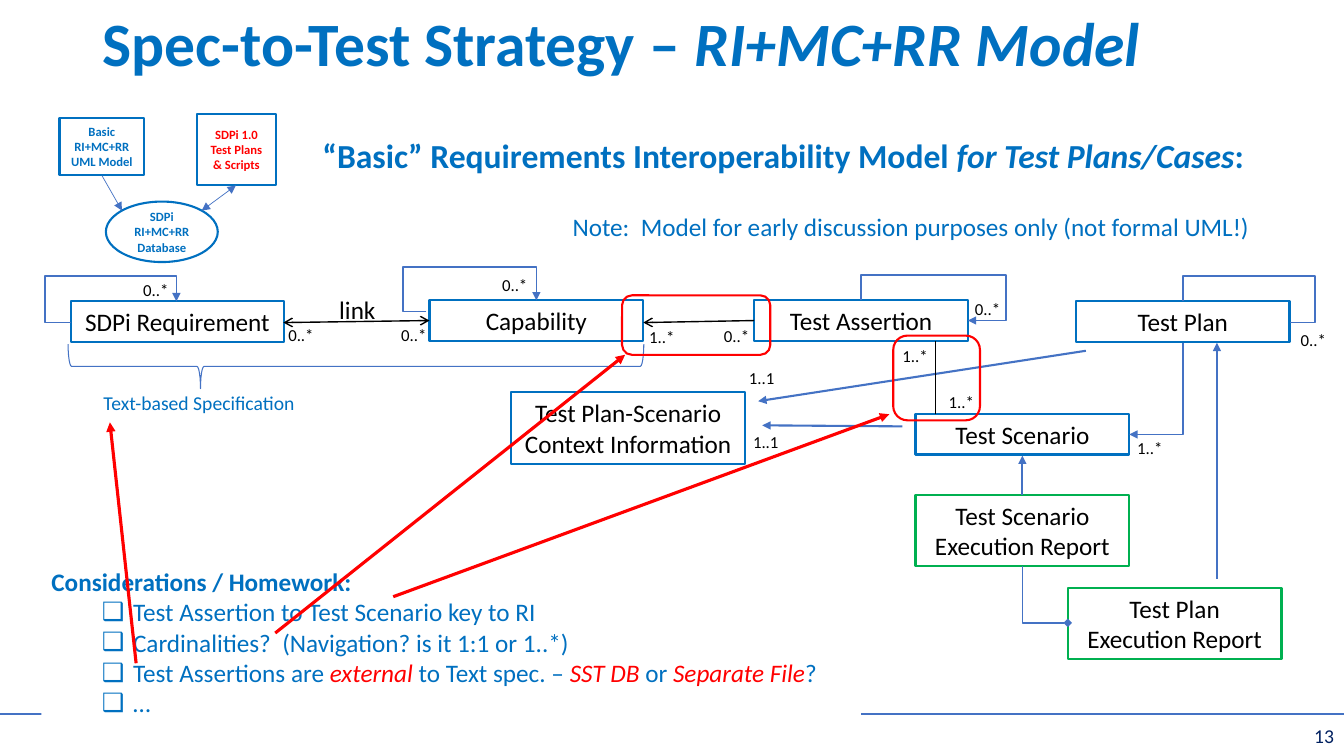
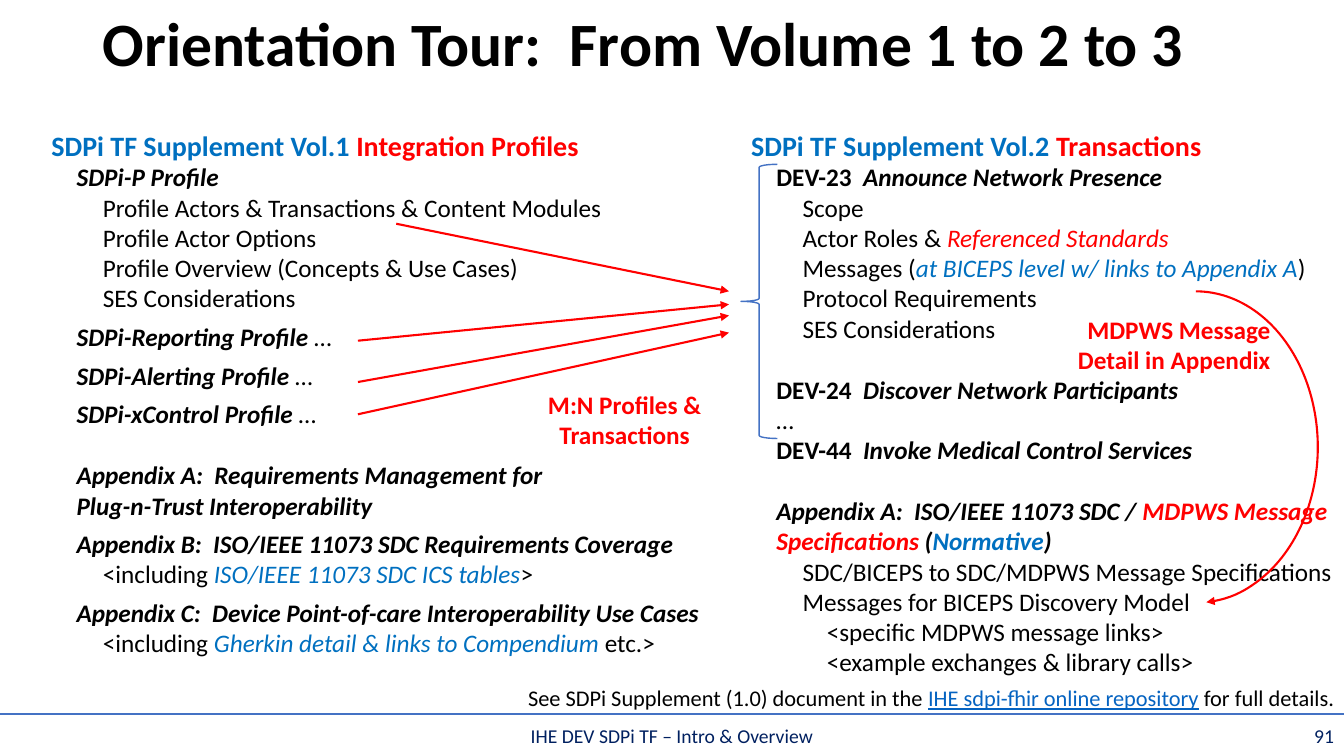
from dataclasses import dataclass

from lxml.etree import SubElement as sub
from pptx import Presentation
from pptx.dml.color import RGBColor
from pptx.enum.shapes import MSO_CONNECTOR as Wire, MSO_SHAPE as Form
from pptx.enum.text import MSO_ANCHOR as Anchor, MSO_AUTO_SIZE as Auto, PP_ALIGN as Align
from pptx.oxml.ns import qn
from pptx.util import Inches, Pt

FONT = "Calibri"
COLORS = {
    "black": "000000",
    "white": "FFFFFF",
    "blue": "0070C0",
    "steel": "4472C4",
    "navy": "002060",
    "red": "FF0000",
    "green": "00B050",
    "link": "0563C1",
}
BOLD = {"bold": True}
ITAL = {"ital": True}
BOTH = BOLD | ITAL
RED = {"color": "red"}
BLUE = {"color": "blue"}


@dataclass
class Row:
    runs: list
    ind: float = 0
    gap: float = 0
    mark: str = ""


def tint(name):
    return RGBColor.from_string(COLORS[name])


def put(para, text, size=18, color="black", bold=False, ital=False, under=False):
    for num, part in enumerate(text.split("\n")):
        if num:
            para.add_line_break()
            sub(para._p[-1], qn("a:rPr"), sz=str(size * 100))
        run = para.add_run()
        run.text = part
        font = run.font
        font.name, font.size = FONT, Pt(size)
        font.bold, font.italic, font.underline = bold, ital, under
        font.color.rgb = tint(color)


def say(shape, rows, align=Align.LEFT, anchor=Anchor.TOP, space=1.0, **base):
    frame = shape.text_frame
    frame.word_wrap = True
    frame.auto_size = Auto.NONE
    frame.vertical_anchor = anchor
    frame.margin_left = frame.margin_right = Inches(0.1)
    frame.margin_top = frame.margin_bottom = Inches(0.05)
    if isinstance(rows, str):
        rows = [Row([rows])]
    for num, row in enumerate(rows):
        para = frame.add_paragraph() if num else frame.paragraphs[0]
        prop = para._p.get_or_add_pPr()
        prop.set("marL", str(Inches(row.ind)))
        prop.set("indent", str(Inches(-0.31 if row.mark else 0)))
        if row.mark:
            sub(prop, qn("a:buChar"), char=row.mark)
        else:
            sub(prop, qn("a:buNone"))
        para.alignment = align
        para.line_spacing = space
        para.space_before = Pt(row.gap)
        para.space_after = Pt(0)
        for run in row.runs:
            text, form = (run, {}) if isinstance(run, str) else run
            put(para, text, **(base | form))


def place(shape, *at):
    shape.left, shape.top, shape.width, shape.height = map(Inches, at)
    return shape


def note(slide, at, rows, **form):
    say(slide.shapes.add_textbox(*map(Inches, at)), rows, **form)


def box(slide, form, at, edge="blue", width=1.5, adj=(), turn=0):
    shape = slide.shapes.add_shape(form, *map(Inches, at))
    shape.shadow.inherit = False
    shape.fill.background()
    shape.line.color.rgb = tint(edge)
    shape.line.width = Pt(width)
    shape.rotation = turn
    for num, value in enumerate(adj):
        shape.adjustments[num] = value
    return shape


def tip(shape, head=None, tail=None):
    line = shape.element.spPr.get_or_add_ln()
    for tag, kind in (("a:headEnd", head), ("a:tailEnd", tail)):
        if kind:
            sub(line, qn(tag), type=kind)


def wire(slide, *spots, color="steel", width=1.5, head=None, tail=None):
    spots = [(Inches(x), Inches(y)) for x, y in spots]
    if len(spots) == 2:
        shape = slide.shapes.add_connector(Wire.STRAIGHT, *spots[0], *spots[1])
    else:
        pen = slide.shapes.build_freeform(*spots[0], scale=1.0)
        pen.add_line_segments(spots[1:], close=False)
        shape = pen.convert_to_shape()
        shape.fill.background()
    shape.line.color.rgb = tint(color)
    shape.line.width = Pt(width)
    tip(shape, head, tail)
    sub(shape.element.spPr, qn("a:effectLst"))
    return shape


def start(deck, kind, title, page, color):
    slide = deck.slides.add_slide(deck.slide_layouts[kind])
    say(place(slide.shapes.title, 0.92, 0.02, 11.5, 0.88), [Row(title)],
        anchor=Anchor.MIDDLE, space=0.9, size=44, bold=True, color=color)
    note(slide, (12.07, 7.1, 1.26, 0.4), page, align=Align.RIGHT,
         anchor=Anchor.MIDDLE, size=14, color="navy")
    return slide


def inset(slide):
    small = dict(align=Align.CENTER, anchor=Anchor.MIDDLE, size=9, bold=True)
    for form, at, rows, color in (
        (Form.RECTANGLE, (0.59, 1.17, 0.84, 0.57), "Basic RI+MC+RR UML Model", "blue"),
        (Form.RECTANGLE, (1.95, 1.13, 0.79, 0.71),
         [Row(["SDPi 1.0"]), Row(["Test Plans & Scripts"])], "red"),
        (Form.OVAL, (1.05, 2, 1.11, 0.6), "SDPi RI+MC+RR Database", "blue"),
    ):
        say(box(slide, form, at), rows, color=color, **small)
    wire(slide, (1.01, 1.74), (1.21, 2.09), width=0.5, tail="triangle")
    wire(slide, (2.34, 1.84), (2, 2.09), width=0.5, head="triangle", tail="triangle")


def nodes(slide):
    for text, x, y, wide, high, edge in (
        ("SDPi Requirement", 0.7, 2.99, 2.12, 0.4, "blue"),
        ("Capability", 4.26, 2.98, 2.12, 0.4, "blue"),
        ("Test Assertion", 7.48, 2.98, 2.12, 0.4, "blue"),
        ("Test Plan", 10.67, 2.99, 2.12, 0.4, "blue"),
        ("Test Scenario", 9.08, 4.11, 2.12, 0.4, "blue"),
        ("Test Plan-Scenario\nContext Information", 5.07, 3.89, 2.32, 0.71, "blue"),
        ("Test Scenario\nExecution Report", 9.08, 4.91, 2.12, 0.71, "green"),
        ("Test Plan\nExecution Report", 10.59, 5.83, 2.12, 0.71, "green"),
    ):
        shape = box(slide, Form.RECTANGLE, (x, y, wide, high), edge)
        say(shape, text, align=Align.CENTER, anchor=Anchor.MIDDLE)
    for text, x, y in (
        ("0..*", 1.29, 2.73), ("0..*", 2.73, 3.17), ("0..*", 3.85, 3.17),
        ("0..*", 4.85, 2.68), ("1..*", 6.31, 3.19), ("0..*", 7.05, 3.18),
        ("0..*", 9.54, 2.91), ("0..*", 12.77, 3.22), ("1..*", 8.82, 3.38),
        ("1..*", 9.28, 3.84), ("1..*", 11.15, 4.29), ("1..1", 7.3, 3.6),
        ("1..1", 7.34, 4.23),
    ):
        note(slide, (x, y, 0.51, 0.3), text, align=Align.CENTER, size=12)


def wires(slide):
    for spots in (
        [(0.7, 3.2), (0.45, 3.2), (0.45, 2.74), (1.75, 2.74), (1.75, 2.99)],
        [(4.23, 3.09), (4, 3.09), (4, 2.65), (5.32, 2.65), (5.32, 2.98)],
        [(8.54, 2.98), (8.54, 2.73), (9.98, 2.73), (9.98, 3.18), (9.6, 3.18)],
        [(11.73, 3.4), (11.73, 4.31), (11.2, 4.31)],
    ):
        wire(slide, *spots, width=1.25, tail="triangle")
    wire(slide, (11.73, 2.99), (11.73, 2.74), (13.04, 2.74), (13.04, 3.2), (12.79, 3.2),
         width=1.25)
    wire(slide, (10.14, 5.62), (10.14, 6.18), (10.59, 6.18), width=1.25, tail="diamond")
    for spots in (
        [(10.14, 4.91), (10.14, 4.52)],
        [(8.95, 4.23), (7.56, 4.22)],
        [(10.77, 3.48), (7.52, 3.98)],
        [(12.07, 5.74), (12.07, 3.4)],
    ):
        wire(slide, *spots, tail="triangle")
    wire(slide, (4.26, 3.18), (2.81, 3.2), color="black", width=1, head="arrow", tail="arrow")
    wire(slide, (7.48, 3.18), (6.38, 3.2), color="black", width=1, tail="arrow")
    wire(slide, (9.28, 4.11), (9.28, 3.38), color="black", width=1)


def model(deck):
    slide = start(deck, 1, ["Spec-to-Test Strategy – ", ("RI+MC+RR Model", ITAL)], "13", "blue")
    rule = wire(slide, (0, 7.08), (13.33, 7.08))
    deck.slide_master.shapes.element.append(rule.element)
    body = place(slide.placeholders[1], 0.41, 5.57, 8.13, 1.62)
    body.fill.solid()
    body.fill.fore_color.rgb = tint("white")
    tasks = (
        ["Test Assertion to Test Scenario key to RI"],
        ["Cardinalities?  (Navigation? is it 1:1 or 1..*)"],
        ["Test Assertions are ", ("external", RED | ITAL), " to Text spec. – ",
         ("SST DB ", RED | ITAL), "or", (" Separate File", RED | ITAL), "?"],
        ["…"],
    )
    rows = [Row([("Considerations / Homework:", BOLD)])]
    rows += [Row(task, ind=0.81, mark="❑") for task in tasks]
    say(body, rows, color="blue")
    note(slide, (3.1, 1.29, 10.23, 0.5),
         [Row(["“Basic” Requirements Interoperability Model ",
               ("for Test Plans/Cases", ITAL), ":"])],
         size=24, color="blue", bold=True)
    note(slide, (5.58, 2.05, 7.51, 0.4),
         "Note:  Model for early discussion purposes only (not formal UML!)", color="blue")
    note(slide, (2.81, 2.87, 1.47, 0.4), "link", align=Align.CENTER)
    note(slide, (0.51, 3.83, 2.93, 0.34), "Text-based Specification",
         align=Align.CENTER, size=14, color="blue")
    inset(slide)
    nodes(slide)
    wires(slide)
    box(slide, Form.LEFT_BRACE, (3.31, 0.78, 0.44, 5.71), "steel", 0.75,
        adj=(0.08, 0.23), turn=270)
    for at in ((8.86, 3.33, 0.86, 0.84), (6.17, 2.93, 1.47, 0.59)):
        box(slide, Form.ROUNDED_RECTANGLE, at, "red")
    for spots in (
        [(3.9, 5.92), (8.82, 4.11)],
        [(2.73, 6.28), (6.2, 3.52)],
        [(1.35, 6.58), (1.09, 4.19)],
    ):
        wire(slide, *spots, color="red", width=2.25, tail="triangle")


def head(text, topic):
    form = BOLD | {"size": 20}
    return Row([(text, form | BLUE), (topic, form | RED)])


def sect(*runs, gap=0):
    return Row(list(runs), ind=0.25, gap=gap)


def item(*runs, ind=0.51):
    return Row(list(runs), ind=ind)


def tour(deck):
    slide = start(deck, 3, ["Orientation Tour:  From Volume 1 to 2 to 3"], "91", "black")
    note(slide, (0, 7.1, 13.33, 0.4), "IHE DEV SDPi TF – Intro & Overview",
         align=Align.CENTER, anchor=Anchor.MIDDLE, size=14, color="navy")
    say(place(slide.placeholders[1], 0.41, 1.22, 6.71, 5.87), [
        head("SDPi TF Supplement Vol.1 ", "Integration Profiles"),
        sect(("SDPi-P Profile", BOTH)),
        item("Profile Actors & Transactions & Content Modules"),
        item("Profile Actor Options"),
        item("Profile Overview (Concepts & Use Cases)"),
        item("SES Considerations"),
        *(sect((f"SDPi-{name} Profile ", BOTH), "…", gap=6)
          for name in ("Reporting", "Alerting", "xControl")),
        sect(("Appendix A:  Requirements Management for\nPlug-n-Trust Interoperability", BOTH),
             gap=22),
        sect(("Appendix B:  ISO/IEEE 11073 SDC Requirements Coverage", BOTH), gap=6),
        item("<including ", ("ISO/IEEE 11073 SDC ICS tables", BLUE | ITAL), ">"),
        sect(("Appendix C:  Device Point-of-care Interoperability Use Cases", BOTH), gap=6),
        item("<including ", ("Gherkin detail & links to Compendium ", BLUE | ITAL), "etc.>"),
    ])
    say(place(slide.placeholders[2], 7.35, 1.22, 5.98, 5.59), [
        head("SDPi TF Supplement Vol.2 ", "Transactions"),
        sect(("DEV-23  ", BOLD), ("Announce Network Presence", BOTH)),
        item("Scope"),
        item("Actor Roles & ", ("Referenced Standards", RED | ITAL)),
        item("Messages (", ("at BICEPS level w/ links to Appendix A", BLUE | ITAL), ")"),
        item("Protocol Requirements"),
        item("SES Considerations"),
        sect(("DEV-24", BOLD), ("  Discover Network Participants", BOTH), gap=22),
        sect("…"),
        sect(("DEV-44", BOLD), ("  Invoke Medical Control Services", BOTH)),
        sect(("Appendix A:  ISO/IEEE 11073 SDC / ", BOTH),
             ("MDPWS Message Specifications", BOTH | RED), (" (", BOTH),
             ("Normative", BOTH | BLUE), (")", BOTH), gap=22),
        item("SDC/BICEPS to SDC/MDPWS Message Specifications"),
        item("Messages for BICEPS Discovery Model"),
        item("<specific MDPWS message links>", ind=0.75),
        item("<example exchanges & library calls>", ind=0.75),
    ])
    note(slide, (4.97, 6.74, 8.36, 0.37),
         [Row(["See SDPi Supplement (1.0) document in the ",
               ("IHE sdpi-fhir online repository", {"color": "link", "under": True}),
               " for full details."])],
         align=Align.RIGHT, size=16)
    box(slide, Form.LEFT_BRACE, (7.35, 1.63, 0.36, 2.72), "steel", 1)
    for x, y, end in ((3.93, 2.22, 2.89), (3.55, 3.38, 3.02), (3.55, 3.79, 3.13), (3.55, 4.11, 3.3)):
        wire(slide, (x, y), (7.23, end), color="red", tail="triangle")
    note(slide, (5.05, 3.81, 2.29, 0.71), "M:N Profiles & Transactions",
         align=Align.CENTER, color="red", bold=True)
    tip(box(slide, Form.ARC, (10.65, 2.89, 2.42, 3.09), "red", adj=(162, 51.66)),
        tail="triangle")
    note(slide, (10.41, 3.07, 2.29, 0.71), "MDPWS Message Detail in Appendix",
         align=Align.RIGHT, color="red", bold=True)


def main():
    deck = Presentation()
    deck.slide_width, deck.slide_height = Inches(13.33), Inches(7.5)
    model(deck)
    tour(deck)
    deck.save("out.pptx")


if __name__ == "__main__":
    main()
